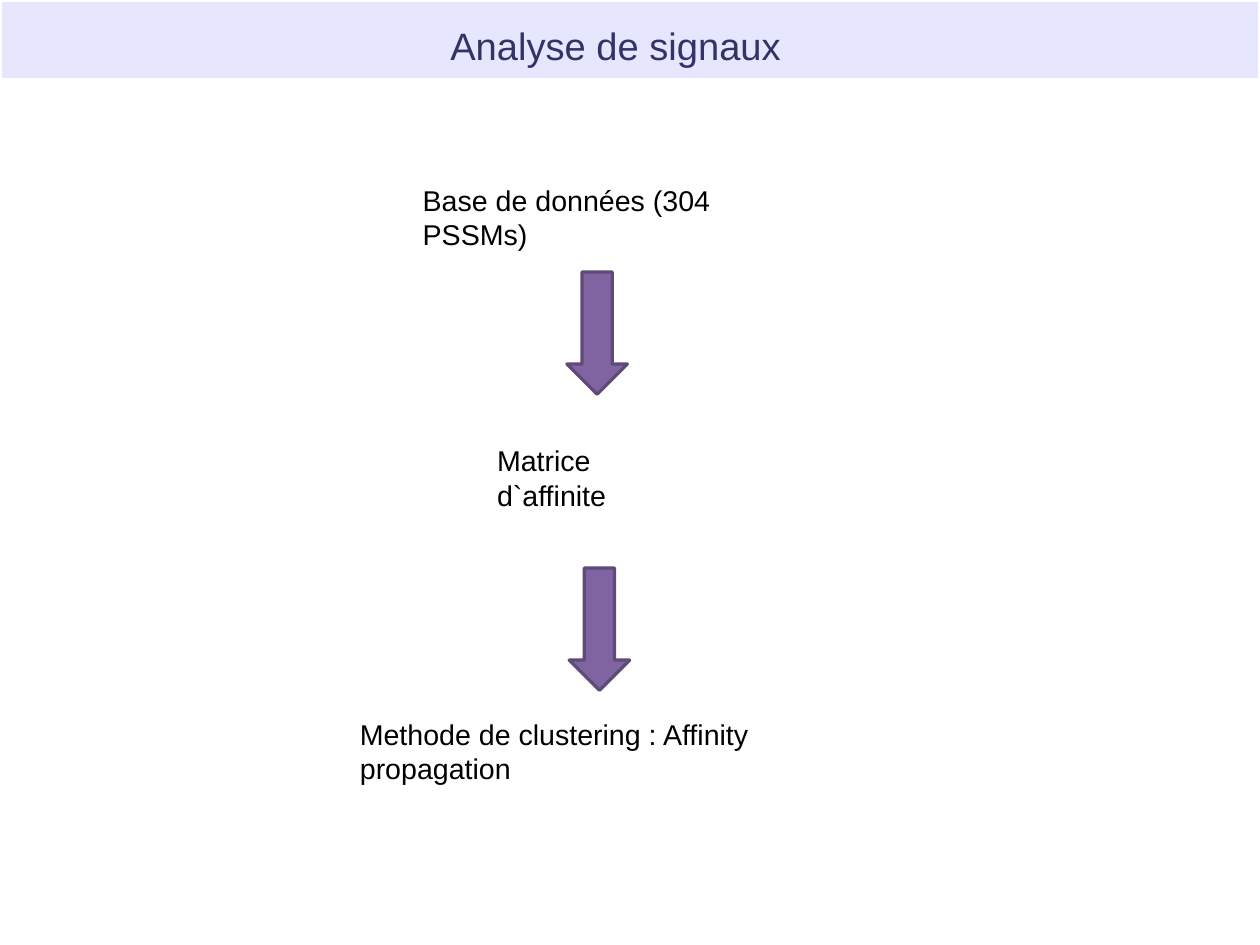
from dataclasses import dataclass

from pptx import Presentation
from pptx import util as u
from pptx.dml.color import RGBColor
from pptx.enum import shapes, text

BAND_FILL = RGBColor(0xE6, 0xE6, 0xFF)
WHITE = RGBColor(0xFF, 0xFF, 0xFF)
BLACK = RGBColor(0x00, 0x00, 0x00)
TITLE_COLOR = RGBColor(0x33, 0x33, 0x66)
ARROW_FILL = RGBColor(0x80, 0x64, 0xA2)
ARROW_LINE = RGBColor(0x5F, 0x4A, 0x78)
FONT = "Arial"
CM_PER_INCH = 2.54


@dataclass(frozen=True)
class Box:
    left: float
    top: float
    width: float
    height: float

    def lengths(self) -> tuple:
        return tuple(u.Inches(v) for v in
                     (self.left, self.top, self.width, self.height))


@dataclass(frozen=True)
class Step:
    label: str
    box: Box


SLIDE = Box(0, 0, 28 / CM_PER_INCH, 21 / CM_PER_INCH)
BAND = Box(0, 0, SLIDE.width, 0.7)
TITLE = Box(3.84, 0.15, 4.08, 0.5)
STEPS = [
    Step("Base de données (304 PSSMs)", Box(3.6, 1.55, 3.3, 0.97)),
    Step("Matrice d`affinite", Box(4.25, 3.83, 1.98, 0.97)),
    Step("Methode de clustering : Affinity propagation",
         Box(3.05, 6.22, 4.72, 0.97)),
]
ARROWS = [Box(left, top, 0.53, 1.07) for left, top in ((4.96, 2.38), (4.98, 4.97))]


def write_text(shape, label: str, size: float, color: RGBColor) -> None:
    """Fill a shape with one left-aligned run, anchored at the top."""
    frame = shape.text_frame
    frame.word_wrap = True
    frame.auto_size = text.MSO_AUTO_SIZE.NONE
    frame.vertical_anchor = text.MSO_ANCHOR.TOP
    frame.margin_left = frame.margin_right = u.Inches(0.1)
    frame.margin_top = frame.margin_bottom = u.Inches(0.05)
    paragraph = frame.paragraphs[0]
    paragraph.alignment = text.PP_ALIGN.LEFT
    run = paragraph.add_run()
    run.text = label
    run.font.name = FONT
    run.font.size = u.Pt(size)
    run.font.color.rgb = color


def add_filled_shape(slide, kind: shapes.MSO_SHAPE, box: Box,
                     fill: RGBColor, line: RGBColor):
    shape = slide.shapes.add_shape(kind, *box.lengths())
    shape.shadow.inherit = False
    shape.fill.solid()
    shape.fill.fore_color.rgb = fill
    shape.line.color.rgb = line
    shape.line.width = u.Pt(2)
    return shape


def place_title(slide, band, label: str) -> None:
    """Move the title placeholder onto the band and format it."""
    title = slide.shapes.title
    title.left, title.top, title.width, title.height = TITLE.lengths()
    write_text(title, label, 24, TITLE_COLOR)
    band.element.addnext(title.element)


def main() -> None:
    presentation = Presentation()
    presentation.slide_width = u.Inches(SLIDE.width)
    presentation.slide_height = u.Inches(SLIDE.height)
    title_only = presentation.slide_layouts.get_by_name("Title Only")
    slide = presentation.slides.add_slide(title_only)

    band = add_filled_shape(slide, shapes.MSO_SHAPE.RECTANGLE, BAND, BAND_FILL, WHITE)
    place_title(slide, band, "Analyse de signaux")
    for step in STEPS:
        label_box = slide.shapes.add_textbox(*step.box.lengths())
        write_text(label_box, step.label, 18, BLACK)
    for arrow in ARROWS:
        add_filled_shape(slide, shapes.MSO_SHAPE.DOWN_ARROW, arrow,
                         ARROW_FILL, ARROW_LINE)

    presentation.save("out.pptx")


if __name__ == "__main__":
    main()
